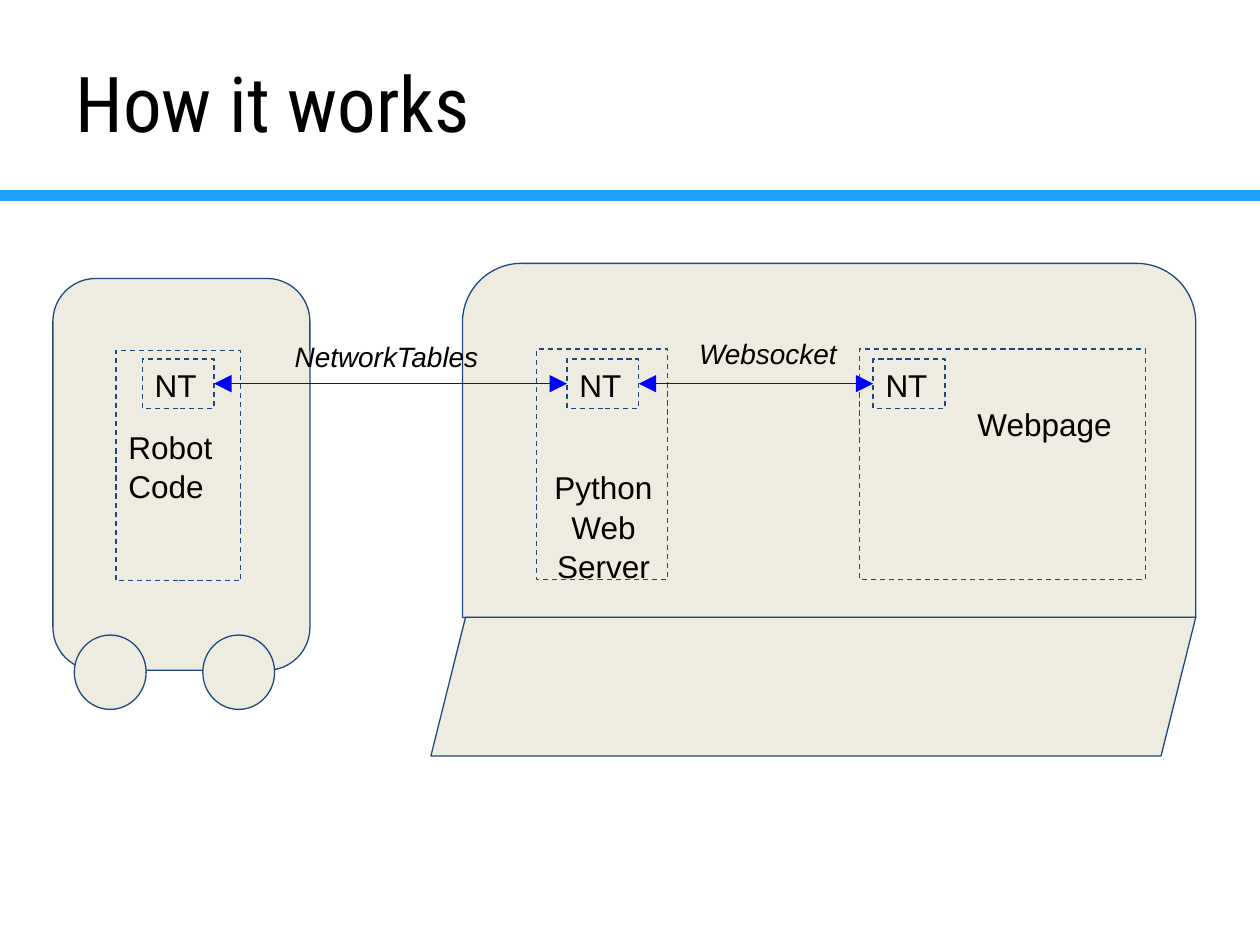
from lxml.etree import SubElement
from pptx import Presentation
from pptx.dml.color import RGBColor
from pptx.enum.dml import MSO_LINE
from pptx.enum.shapes import MSO_CONNECTOR, MSO_SHAPE as SHAPE
from pptx.enum.text import MSO_ANCHOR as ANCHOR, PP_ALIGN as ALIGN
from pptx.oxml.ns import qn
from pptx.util import Inches, Pt

FILL, OUTLINE, ARROW, RULE, TEXT = "EEECE1", "1F497D", "0000FF", "1EA0FF", "000000"


def color(value):
    return RGBColor.from_string(value)


def write(sp, text, size=18, font="Arial", italic=False, align=ALIGN.LEFT,
          anchor=ANCHOR.TOP):
    """Fill a shape with text, one paragraph per line."""
    tf = sp.text_frame
    tf.word_wrap = True
    tf.vertical_anchor = anchor
    tf.margin_left = tf.margin_right = Inches(0.1)
    tf.margin_top = tf.margin_bottom = Inches(0.1)
    tf.text = text
    for p in tf.paragraphs:
        p.alignment = align
        p.line_spacing = 1.05
        p.font.size = Pt(size)
        p.font.name = font
        p.font.italic = italic
        p.font.color.rgb = color(TEXT)


class Diagram:
    def __init__(self, slide):
        self.slide = slide
        self.shapes = slide.shapes

    def title(self, text, *box):
        sp = self.shapes.title
        sp.left, sp.top, sp.width, sp.height = map(Inches, box)
        write(sp, text, size=44, font="Roboto Condensed")

    def shape(self, kind, *box, adjust=(), dashed=False):
        sp = self.shapes.add_shape(kind, *map(Inches, box))
        sp.shadow.inherit = False
        sp.fill.solid()
        sp.fill.fore_color.rgb = color(FILL)
        sp.line.color.rgb = color(OUTLINE)
        sp.line.width = Pt(0.75)
        if dashed:
            sp.line.dash_style = MSO_LINE.DASH
        for i, value in enumerate(adjust):
            sp.adjustments[i] = value
        return sp

    def component(self, *box, text=""):
        """Dashed box for a piece of software."""
        sp = self.shape(SHAPE.RECTANGLE, *box, dashed=True)
        if text:
            write(sp, text, anchor=ANCHOR.MIDDLE)

    def label(self, text, *box, **style):
        write(self.shapes.add_textbox(*map(Inches, box)), text, **style)

    def line(self, x1, x2, y, line_color, width, heads=()):
        cx = self.shapes.add_connector(
            MSO_CONNECTOR.STRAIGHT, *map(Inches, (x1, y, x2, y)))
        cx.line.color.rgb = color(line_color)
        cx.line.width = Pt(width)
        ln = cx.line._get_or_add_ln()
        for end in heads:
            SubElement(ln, qn(f"a:{end}"), type="triangle", w="lg", len="lg")
        SubElement(cx._element.spPr, qn("a:effectLst"))


def main():
    prs = Presentation()
    prs.slide_width, prs.slide_height = Inches(10), Inches(7.5)
    d = Diagram(prs.slides.add_slide(prs.slide_layouts[5]))

    d.line(0, 10, 1.55, RULE, 6)
    d.title("How it works", 0.5, 0.3, 6.98, 1.25)

    # Laptop and robot bodies
    d.shape(SHAPE.ROUND_2_SAME_RECTANGLE, 3.67, 2.09, 5.82, 2.81, adjust=(0.167, 0))
    d.shape(SHAPE.PARALLELOGRAM, 3.42, 4.9, 6.07, 1.1, adjust=(0.25,))
    d.shape(SHAPE.ROUNDED_RECTANGLE, 0.42, 2.21, 2.04, 3.11, adjust=(0.167,))

    # Programs
    d.component(0.92, 2.78, 0.99, 1.83, text="Robot\nCode")
    d.component(6.82, 2.77, 2.27, 1.83)
    d.label("Webpage", 7.66, 3.1, 1.43, 0.35)
    d.component(4.26, 2.77, 1.04, 1.83)
    for wheel_x in (0.59, 1.61):
        d.shape(SHAPE.OVAL, wheel_x, 5.04, 0.57, 0.59)
    d.label("Python\vWeb\nServer", 4.27, 3.6, 1.04, 0.59, align=ALIGN.CENTER)

    # NT nodes, joined from each right edge to the next left edge
    d.label("Websocket", 5.45, 2.56, 1.34, 0.45, size=16, italic=True)
    nodes, node_w, node_h, node_y = (1.13, 4.5, 6.93), 0.57, 0.39, 2.85
    for x in nodes:
        d.component(x, node_y, node_w, node_h, text="NT")
    for x, next_x in zip(nodes, nodes[1:]):
        d.line(x + node_w, next_x, node_y + node_h / 2, ARROW, 0.75,
               heads=("headEnd", "tailEnd"))
    d.label("NetworkTables", 2.24, 2.58, 1.69, 0.45, size=16, italic=True)

    prs.save("out.pptx")


if __name__ == "__main__":
    main()
